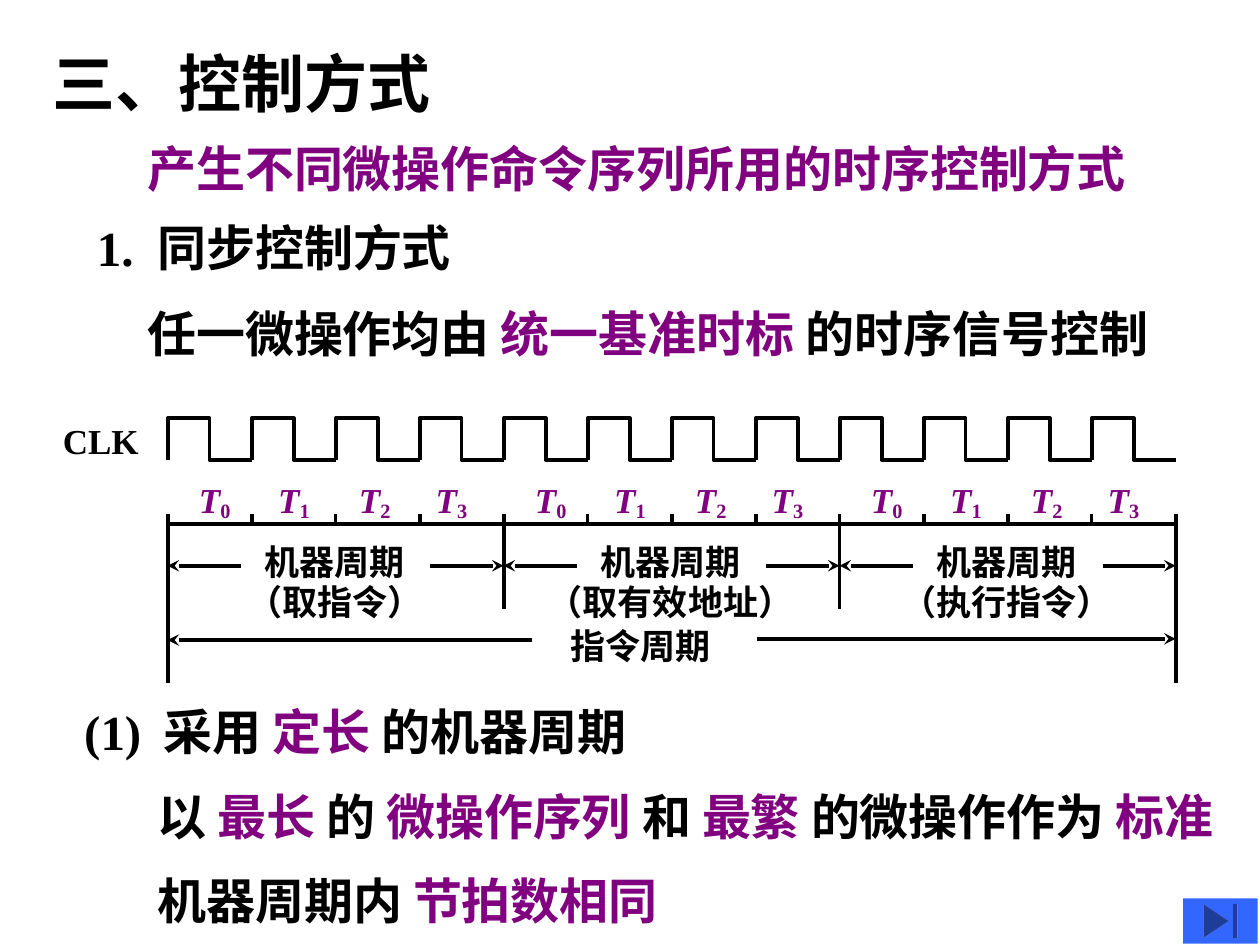
from pptx import Presentation
from pptx.dml.color import RGBColor
from pptx.enum.shapes import MSO_CONNECTOR, MSO_SHAPE
from pptx.enum.text import MSO_ANCHOR, PP_ALIGN
from pptx.oxml.ns import qn
from pptx.util import Inches, Pt
from lxml.etree import SubElement

COLORS = {"ink": "000000", "accent": "800080", "button": "3366FF"}
FONT = "Times New Roman"
CYCLES = [("（取指令）", 1.6), ("（取有效地址）", 2.16), ("（执行指令）", 1.88)]
BEATS = 4
BEAT_OFFSETS = [0.15, 0.78, 1.42, 2.03]


def color(name):
    """Return a named colour."""
    return RGBColor.from_string(COLORS[name])


def place(shape, left, top, width, height):
    """Move a shape to a box in inches."""
    shape.left, shape.top = Inches(left), Inches(top)
    shape.width, shape.height = Inches(width), Inches(height)


def style(para, size):
    """Apply the bold slide font to a paragraph."""
    para.alignment = PP_ALIGN.LEFT
    para.font.name = FONT
    para.font.size = Pt(size)
    para.font.bold = True


def add_text(page, box, spans, size, tab=None):
    """Add one line of text from (text, colour) pairs and return its paragraph."""
    shape = page.shapes.add_textbox(*map(Inches, box))
    shape.text_frame.word_wrap = False
    para = shape.text_frame.paragraphs[0]
    if tab:
        stops = SubElement(para._p.get_or_add_pPr(), qn("a:tabLst"))
        SubElement(stops, qn("a:tab"), pos=str(Inches(tab)), algn="l")
    style(para, size)
    for text, tone in spans:
        span = para.add_run()
        span.text = text
        span.font.color.rgb = color(tone)
    return para


def add_line(page, start, end, arrow=False):
    """Draw a straight line, with an arrowhead at its end if asked."""
    line = page.shapes.add_connector(
        MSO_CONNECTOR.STRAIGHT, *map(Inches, (*start, *end)))
    line.line.color.rgb = color("ink")
    line.line.width = Pt(2.25)
    if arrow:
        SubElement(line.line._get_or_add_ln(), qn("a:tailEnd"), type="stealth")
    SubElement(line._element.spPr, qn("a:effectLst"))


def add_title(page, left, top, width, height):
    """Fill the title placeholder."""
    title = page.shapes.title
    place(title, left, top, width, height)
    frame = title.text_frame
    frame.text = "三、控制方式"
    frame.word_wrap = False
    frame.vertical_anchor = MSO_ANCHOR.TOP
    style(frame.paragraphs[0], 36)
    frame.paragraphs[0].font.color.rgb = color("ink")


def add_statements(page):
    """Place the large lines of text above and below the timing diagram."""
    ink, accent = "ink", "accent"
    add_text(page, (1.07, 1.05, 8.01, 0.57),
             [("产生不同微操作命令序列所用的时序控制方式", accent)], 28)
    add_text(page, (0.67, 1.68, 4.08, 0.57), [("1.\t同步控制方式", ink)], 28, 0.48)
    add_text(page, (1.07, 2.36, 8.21, 0.57),
             [("任一微操作均由 ", ink), ("统一基准时标 ", accent),
              ("的时序信号控制", ink)], 28)
    add_text(page, (0.57, 5.52, 5.38, 0.57),
             [("(1)\t采用 ", ink), ("定长 ", accent), ("的机器周期", ink)], 28, 0.63)
    add_text(page, (1.15, 6.19, 8.66, 0.57),
             [("以 ", ink), ("最长 ", accent), ("的 ", ink), ("微操作序列 ", accent),
              ("和 ", ink), ("最繁 ", accent), ("的微操作作为 ", ink),
              ("标准", accent)], 28)
    add_text(page, (1.15, 6.86, 5.51, 0.57),
             [("机器周期内 ", ink), ("节拍数相同", accent)], 28)


def add_clock(page, left, top, width, height):
    """Draw the clock wave, one pulse per beat."""
    add_text(page, (left - 0.93, top - 0.04, 0.8, 0.43), [("CLK", "ink")], 20)
    count = BEATS * len(CYCLES)
    period = width / count
    low = top + height
    for index in range(count):
        start = left + index * period
        middle, end = start + period / 2, start + period
        builder = page.shapes.build_freeform(Inches(start), Inches(low))
        corners = [(start, top), (middle, top), (middle, low), (end, low)]
        builder.add_line_segments(
            [(Inches(x), Inches(y)) for x, y in corners], close=False)
        pulse = builder.convert_to_shape()
        pulse.shadow.inherit = False
        pulse.fill.background()
        pulse.line.color.rgb = color("ink")
        pulse.line.width = Pt(2.25)


def add_cycle(page, left, top, width, name, name_width):
    """Draw the beats, arrows and labels of one machine cycle."""
    right, middle, arrow_y = left + width, left + width / 2, top + 0.41
    for beat, offset in enumerate(BEAT_OFFSETS):
        para = add_text(page, (left + offset, top - 0.33, 0.46, 0.43),
                        [("T", "accent"), (str(beat), "accent")], 20)
        letter, digit = para.runs
        letter.font.italic = True
        digit._r.get_or_add_rPr().set("baseline", "-15000")
        if beat:
            x = left + beat * width / BEATS
            add_line(page, (x, top), (x, top + 0.08))
    add_line(page, (left + 0.58, arrow_y), (left, arrow_y), arrow=True)
    add_line(page, (right - 0.58, arrow_y), (right, arrow_y), arrow=True)
    add_text(page, (middle - 0.66, top + 0.16, 1.32, 0.43), [("机器周期", "ink")], 20)
    add_text(page, (middle - name_width / 2, top + 0.48, name_width, 0.43),
             [(name, "ink")], 20)


def add_timeline(page, left, top, width, height):
    """Draw the instruction cycle divided into machine cycles."""
    right = left + width
    cycle_width = width / len(CYCLES)
    add_line(page, (left, top + 0.08), (right, top + 0.08))
    for x in (left, right):
        add_line(page, (x, top), (x, top + height))
    for index, (name, name_width) in enumerate(CYCLES):
        x = left + index * cycle_width
        if index:
            add_line(page, (x, top), (x, top + 0.75))
        add_cycle(page, x, top, cycle_width, name, name_width)
    add_line(page, (left + 2.89, top + 1), (left, top + 1), arrow=True)
    add_line(page, (right - 3.32, top + 0.99), (right, top + 0.99), arrow=True)
    add_text(page, (left + 3.1, top + 0.83, 1.32, 0.43), [("指令周期", "ink")], 20)


def add_end_button(page, left, top, width, height):
    """Place the button that leads to the end."""
    button = page.shapes.add_shape(
        MSO_SHAPE.ACTION_BUTTON_END, *map(Inches, (left, top, width, height)))
    button.shadow.inherit = False
    button.fill.solid()
    button.fill.fore_color.rgb = color("button")
    button.line.fill.background()


def main():
    """Build the slide and save the deck."""
    deck = Presentation()
    deck.slide_width, deck.slide_height = Inches(10), Inches(7.5)
    page = deck.slides.add_slide(deck.slide_layouts[5])
    add_title(page, 0.32, 0.3, 3.24, 0.71)
    add_statements(page)
    add_clock(page, 1.33, 3.32, 8, 0.33)
    add_timeline(page, 1.33, 4.08, 8, 1.34)
    add_end_button(page, 9.39, 7.13, 0.59, 0.36)
    deck.save("out.pptx")


if __name__ == "__main__":
    main()
